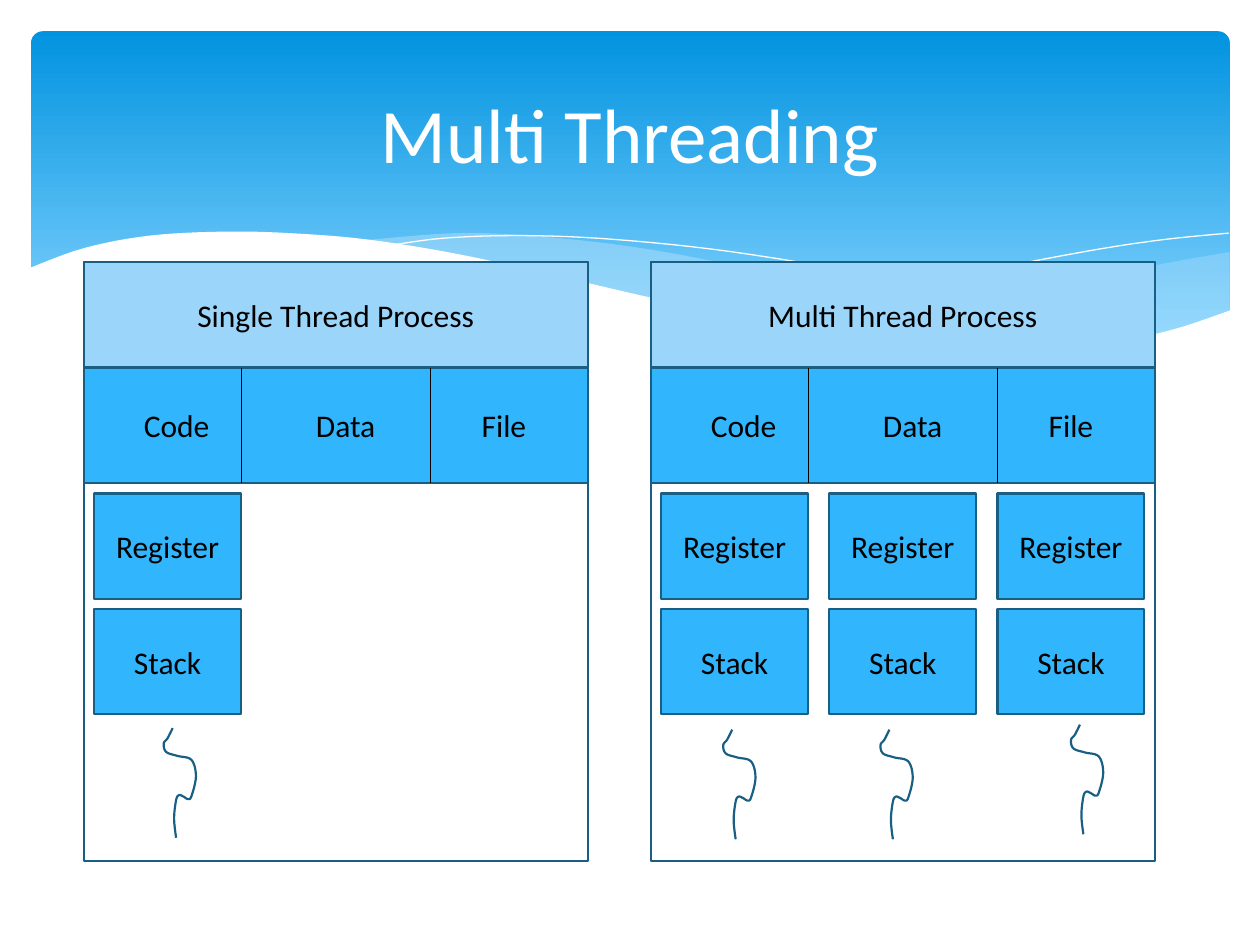
from lxml import etree
from pptx import Presentation
from pptx import util as u
from pptx.dml.color import RGBColor
from pptx.enum import shapes, text
from pptx.oxml.ns import qn

COLORS = {"white": "FFFFFF", "black": "000000", "edge": "195F84", "head": "9BD5FA",
          "box": "31B6FD", "wave": "C6E7FC", "sky_top": "0293E0", "sky_end": "83D3FE"}
SHADE_TOP = [(24.79, 5.08), (23.39, 5.33), (21.87, 5.66), (19.13, 6.3), (16.79, 6.73)]
SHADE_LOW = [(16.79, 6.73), (18.26, 6.91), (19.53, 7.04), (20.68, 7.06), (21.92, 6.99),
             (23.19, 6.78), (24.1, 6.53), (24.79, 6.27)]
BAND_TOP = [(22.68, 6.93), (20.5, 6.6), (17.93, 6.1), (15.98, 5.64), (14.1, 5.21),
            (12.42, 4.93), (10.67, 4.75), (9.17, 4.7), (7.26, 4.85)]
BAND_LOW = [(7.26, 4.85), (9.19, 5.16), (11.4, 5.64), (13.46, 6.1), (15.7, 6.55),
            (17.65, 6.86), (19.33, 7.04), (20.78, 7.06), (22.68, 6.93)]
CRESTS = [[(7.85, 4.95), (8.97, 4.8), (10.57, 4.75), (12.42, 4.83), (14.78, 5.08),
           (17.65, 5.56), (20.19, 6.12), (23.04, 6.91)],
          [(15.57, 6.53), (17.65, 5.97), (19.71, 5.49), (22, 5.05), (23.47, 4.83),
           (24.77, 4.7)]]
FRONT = [(24.82, 6.25), (23.62, 6.65), (22.23, 6.93), (20.55, 7.04), (18.44, 6.91),
         (15.9, 6.55), (13.44, 6.07), (11.35, 5.59), (9.27, 5.13), (7.42, 4.83),
         (5.84, 4.7), (4.5, 4.67), (3.02, 4.75), (1.7, 5), (0.58, 5.41)]
THREAD = [(0.18, 0), (0.08, 0.2), (0, 0.31), (0.05, 0.48), (0.28, 0.56), (0.56, 0.64),
          (0.65, 0.97), (0.56, 1.37), (0.49, 1.43), (0.4, 1.38), (0.31, 1.35),
          (0.25, 1.45), (0.21, 1.83), (0.25, 2.21)]


def rgb(name):
    """Return the named colour."""
    return RGBColor.from_string(COLORS[name])


def smooth(points, steps=6):
    """Return points along a Catmull-Rom curve through the given points."""
    ext = [points[0], *points, points[-1]]
    curve = [points[0]]
    for a, b, c, d in zip(ext, ext[1:], ext[2:], ext[3:]):
        for i in range(1, steps + 1):
            t = i / steps
            curve.append(tuple(
                q + t * (r - p + t * (2 * p - 5 * q + 4 * r - e + t * (3 * q - p - 3 * r + e))) / 2
                for p, q, r, e in zip(a, b, c, d)))
    return curve


def style(sp, fill=None, line=None, width=1.25):
    """Set fill and line of a shape and drop its shadow."""
    sp.shadow.inherit = False
    if fill:
        sp.fill.solid()
        sp.fill.fore_color.rgb = rgb(fill)
    else:
        sp.fill.background()
    if line:
        sp.line.color.rgb = rgb(line)
        sp.line.width = u.Pt(width)
    else:
        sp.line.fill.background()


def outline(s, points, closed=False, alpha=None, **look):
    """Draw a freeform through points given in centimetres."""
    pts = [(u.Cm(x), u.Cm(y)) for x, y in points]
    fb = s.shapes.build_freeform(*pts[0])
    fb.add_line_segments(pts[1:], close=closed)
    sp = fb.convert_to_shape()
    style(sp, **look)
    if alpha:
        clr = sp.fill._xPr.find(qn("a:solidFill"))[0]
        etree.SubElement(clr, qn("a:alpha"), val=str(alpha * 1000))


def write(tf, words, size=18, color="black", align=text.PP_ALIGN.CENTER):
    """Write one run into a text frame."""
    tf.word_wrap = True
    tf.vertical_anchor = text.MSO_ANCHOR.MIDDLE
    p = tf.paragraphs[0]
    p.alignment = align
    r = p.add_run()
    r.text = words
    r.font.name = "Calibri"
    r.font.size = u.Pt(size)
    r.font.color.rgb = rgb(color)
    return p


def box(s, x, y, w, h, fill=None, words=None):
    """Add an edged rectangle, with text if given."""
    sp = s.shapes.add_shape(shapes.MSO_SHAPE.RECTANGLE, *map(u.Cm, (x, y, w, h)))
    style(sp, fill, "edge")
    if words:
        write(sp.text_frame, words)
    return sp


def divider(s, x, y, h):
    """Add a thin vertical line."""
    ln = s.shapes.add_connector(shapes.MSO_CONNECTOR.STRAIGHT, *map(u.Cm, (x, y, x, y + h)))
    ln.line.color.rgb = rgb("black")
    ln.line.width = u.Pt(0.75)
    etree.SubElement(ln._element.spPr, qn("a:effectLst"))


def resource_bar(s, x, y, w, h):
    """Add the bar of shared resources, split in three."""
    tf = box(s, x, y, w, h, "box").text_frame
    tf.margin_left = u.Cm(1.21)
    p = write(tf, "Code\tData\tFile", align=text.PP_ALIGN.LEFT)
    tabs = etree.SubElement(p._p.get_or_add_pPr(), qn("a:tabLst"))
    for pos in (3.47, 6.81):
        etree.SubElement(tabs, qn("a:tab"), pos=str(u.Cm(pos)), algn="l")
    for dx in (3.18, 6.99):
        divider(s, x + dx, y, h)


def process(s, x, name, threads):
    """Add a process panel with its threads."""
    box(s, x, 5.29, 10.16, 12.07)
    box(s, x, 5.29, 10.16, 2.12, "head", name)
    resource_bar(s, x, 7.41, 10.16, 2.33)
    for i, (dx, top) in enumerate(threads):
        for y, words in ((9.95, "Register"), (12.28, "Stack")):
            box(s, x + 0.21 + i * 3.39, y, 2.96, 2.12, "box", words)
        outline(s, smooth([(x + dx + a, top + b) for a, b in THREAD]), line="edge")


def header(s):
    """Add the gradient banner and its waves."""
    sp = s.shapes.add_shape(shapes.MSO_SHAPE.ROUNDED_RECTANGLE,
                            *map(u.Cm, (0.63, 0.63, 24.16, 6.86)))
    sp.adjustments[0] = 0.034
    style(sp)
    sp.fill.gradient()
    sp.fill.gradient_angle = 270
    for stop, name, pos in zip(sp.fill.gradient_stops, ("sky_top", "sky_end"), (0, 0.9)):
        stop.color.rgb = rgb(name)
        stop.position = pos
    for top, low, alpha in ((SHADE_TOP, SHADE_LOW, 29), (BAND_TOP, BAND_LOW, 40)):
        outline(s, smooth(top) + smooth(low), True, alpha, fill="wave")
    for crest in CRESTS:
        outline(s, smooth(crest), line="white", width=0)
    outline(s, smooth(FRONT) + [(0.58, 8.36), (24.82, 8.36)], True, fill="white")


def title(s, words):
    """Place the title above the banner."""
    sp = s.shapes.title
    sp.left, sp.top, sp.width, sp.height = map(u.Cm, (1.27, 0.94, 22.86, 3.48))
    write(sp.text_frame, words, 44, "white")
    s.shapes._spTree.append(sp._element)


def main():
    """Build and save the slide."""
    prs = Presentation()
    prs.slide_width, prs.slide_height = u.Cm(25.4), u.Cm(19.05)
    s = prs.slides.add_slide(prs.slide_layouts[5])
    header(s)
    title(s, "Multi Threading")
    process(s, 1.69, "Single Thread Process", [(1.61, 14.68)])
    process(s, 13.12, "Multi Thread Process", [(1.46, 14.71), (4.63, 14.71), (8.47, 14.61)])
    prs.save("out.pptx")


main()
